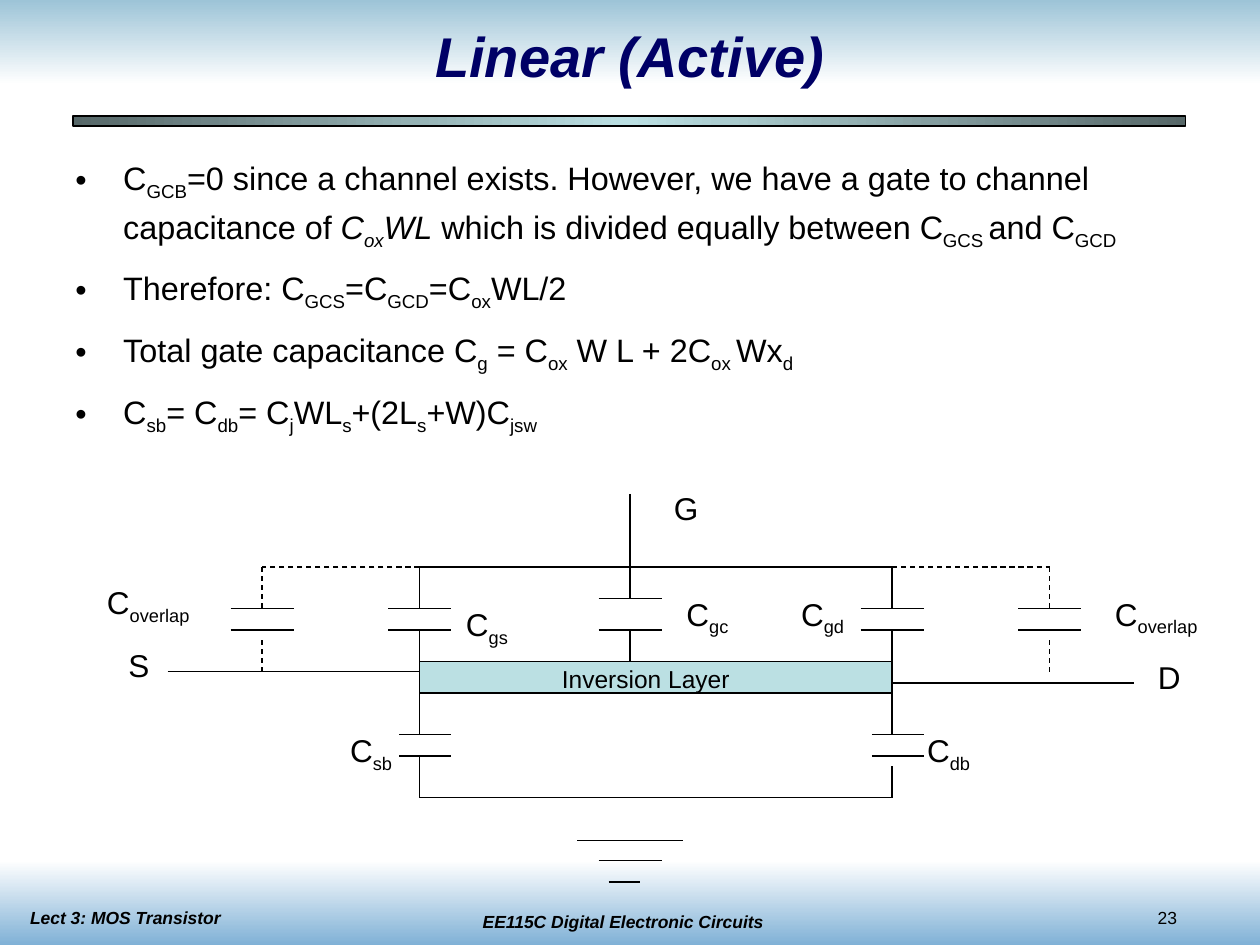
from copy import deepcopy

from lxml import etree
from pptx import Presentation
from pptx.dml.color import RGBColor
from pptx.enum.dml import MSO_LINE
from pptx.enum.shapes import MSO_CONNECTOR, MSO_SHAPE
from pptx.enum.text import MSO_ANCHOR, PP_ALIGN
from pptx.oxml.ns import qn
from pptx.util import Inches, Pt

STRAIGHT = MSO_CONNECTOR.STRAIGHT
RECTANGLE = MSO_SHAPE.RECTANGLE
DASH = MSO_LINE.DASH
MIDDLE = MSO_ANCHOR.MIDDLE
LEFT, CENTER = PP_ALIGN.LEFT, PP_ALIGN.CENTER

BLACK, NAVY, TEAL, SLATE, WHITE = "000000", "000066", "BBE0E3", "566768", "FFFFFF"

BULLETS = [
    "C|_GCB|=0 since a channel exists. However, we have a gate to channel "
    "capacitance of |~C|~_ox|~WL| which is divided equally between C|_GCS |and C|_GCD",
    "Therefore: C|_GCS|=C|_GCD|=C|_ox|WL/2",
    "Total gate capacitance C|_g| = C|_ox| W L + 2C|_ox |Wx|_d",
    "C|_sb|= C|_db|= C|_j|WL|_s|+(2L|_s|+W)C|_jsw",
]


def color(hex_string):
    return RGBColor.from_string(hex_string)


class SlideBuilder:
    font = "Arial"

    def __init__(self, deck):
        self.page = deck.slides.add_slide(deck.slide_layouts[5])
        self.shapes = self.page.shapes

    def style(self, span, size, fill=BLACK, bold=False, italic=False):
        span.font.name = self.font
        span.font.size = Pt(size)
        span.font.bold = bold
        span.font.italic = italic
        span.font.color.rgb = color(fill)

    def spans(self, para, markup, size, bold=False, italic=False):
        """Fill a paragraph; "|" parts spans, a leading "~" is italic, "_" subscript."""
        for piece in markup.split("|"):
            slanted = piece.startswith("~")
            piece = piece.removeprefix("~")
            span = para.add_run()
            span.text = piece.removeprefix("_")
            self.style(span, size, bold=bold, italic=italic or slanted)
            if piece.startswith("_"):
                span.font._element.set("baseline", "-25000")

    def title(self, text, left, top, width, height):
        box = self.shapes.title
        box.left, box.top, box.width, box.height = map(Inches, (left, top, width, height))
        self.shapes._spTree.append(box._element)  # in front of the top band
        frame = box.text_frame
        frame.text = text
        frame.vertical_anchor = MIDDLE
        frame.paragraphs[0].alignment = CENTER
        self.style(frame.paragraphs[0].runs[0], 32, NAVY, bold=True, italic=True)

    def text(self, markup, left, top, width, height, size=18, align=LEFT, strong=False):
        box = self.shapes.add_textbox(*map(Inches, (left, top, width, height)))
        box.text_frame.word_wrap = True
        para = box.text_frame.paragraphs[0]
        para.alignment = align
        self.spans(para, markup, size, bold=strong, italic=strong)

    def bullets(self, items, left, top, width, height, size):
        box = self.shapes.add_textbox(*map(Inches, (left, top, width, height)))
        frame = box.text_frame
        frame.word_wrap = True
        for index, item in enumerate(items):
            para = frame.add_paragraph() if index else frame.paragraphs[0]
            para.line_spacing = 1.1
            para.space_before = Pt(7.5 if index else 0)
            properties = para._p.get_or_add_pPr()
            properties.set("marL", str(Inches(0.38)))
            properties.set("indent", str(-Inches(0.38)))
            etree.SubElement(properties, qn("a:buFont")).set("typeface", self.font)
            etree.SubElement(properties, qn("a:buChar")).set("char", "•")
            self.spans(para, item, size)

    def rectangle(self, left, top, width, height, fills, line=None, angle=0):
        """Draw a rectangle: one fill is solid, several are an even gradient."""
        shape = self.shapes.add_shape(RECTANGLE, *map(Inches, (left, top, width, height)))
        shape.shadow.inherit = False
        if len(fills) == 1:
            shape.fill.solid()
            shape.fill.fore_color.rgb = color(fills[0])
        else:
            shape.fill.gradient()
            shape.fill.gradient_angle = angle
            stop_list = shape._element.spPr.find(".//" + qn("a:gsLst"))
            for _ in fills[2:]:
                stop_list.append(deepcopy(stop_list[0]))
            for index, stop in enumerate(shape.fill.gradient_stops):
                stop.position = index / (len(fills) - 1)
                stop.color.rgb = color(fills[index])
        if line:
            shape.line.color.rgb = color(BLACK)
            shape.line.width = Pt(line)
        else:
            shape.line.fill.background()

    def line(self, x1, y1, x2, y2, dashed=False):
        wire = self.shapes.add_connector(STRAIGHT, *map(Inches, (x1, y1, x2, y2)))
        wire.line.color.rgb = color(BLACK)
        wire.line.width = Pt(0.75)
        if dashed:
            wire.line.dash_style = DASH
        etree.SubElement(wire._element.spPr, qn("a:effectLst"))

    def plates(self, x, top, bottom, left_reach=0.25):
        for y in (top, bottom):
            self.line(x - left_reach, y, x + 0.25, y)


def draw_circuit(slide):
    source, gate, drain = 3.33, 5, 7.08
    bus, upper, lower, ground = 4.5, 4.83, 5, 6.33

    # Gate and junction capacitors; the drain lead starts below a gap
    for x, lead_top in ((source, 6), (drain, 6.08)):
        slide.line(x, bus, x, upper)
        slide.plates(x, upper, lower)
        slide.line(x, lower, x, 5.83)
        slide.plates(x, 5.83, 6, left_reach=0.16)
        slide.line(x, lead_top, x, ground)
    for y in (bus, ground):
        slide.line(source, y, drain, y)

    # Channel capacitor
    slide.line(gate, 3.92, gate, 4.75)
    slide.plates(gate, 4.75, lower)
    slide.line(gate, lower, gate, 5.33)

    # Overlap capacitors
    for x, corner in ((2.08, source), (8.33, drain)):
        slide.line(corner, bus, x, bus, dashed=True)
        slide.line(x, bus, x, upper, dashed=True)
        slide.plates(x, upper, lower)
        slide.line(x, 5.08, x, 5.33, dashed=True)

    # Terminals and ground symbol
    slide.line(1.33, 5.33, source, 5.33)
    slide.line(drain, 5.42, 9, 5.42)
    for left, right, y in ((4.58, 5.42, 6.67), (4.75, 5.25, 6.83), (4.83, 5.08, 7)):
        slide.line(left, y, right, y)

    slide.rectangle(source, 5.25, drain - source, 0.25, [TEAL], line=1)
    slide.text("Inversion Layer", 4.33, 5.22, 1.59, 0.34, size=14, align=CENTER)

    for terminal, left, top in (("S", 0.92, 5.08), ("D", 9.09, 5.17), ("G", 5.25, 3.83)):
        slide.text(terminal, left, top, 0.42, 0.4)
    capacitors = [
        ("gd", 6.26, 4.67), ("db", 7.26, 5.75), ("gc", 5.35, 4.67),
        ("sb", 2.68, 5.75), ("gs", 3.6, 4.75),
    ]
    for subscript, left, top in capacitors:
        slide.text(f"C|_{subscript}", left, top, 0.6, 0.44)
    for left, top in ((8.75, 4.67), (0.75, 4.58)):
        slide.text("C|_overlap", left, top, 1.08, 0.44)


def main():
    deck = Presentation()
    deck.slide_width, deck.slide_height = Inches(10), Inches(7.5)
    slide = SlideBuilder(deck)

    slide.rectangle(0, 0, 10, 0.67, ["9DC4D7", WHITE], angle=270)
    slide.rectangle(0, 6.83, 10, 0.67, [WHITE, "80B1D6"], angle=270)
    slide.rectangle(0.58, 0.92, 8.83, 0.08, [SLATE, TEAL, SLATE], line=0.75)
    slide.text("EE115C Digital Electronic Circuits", 3.53, 7.18, 2.83, 0.27,
               size=10, align=CENTER, strong=True)
    slide.text("23", 9.09, 7.15, 0.83, 0.27, size=10)
    slide.text("Lect 3: MOS Transistor", 0.14, 7.15, 2.83, 0.27, size=10, strong=True)

    slide.title("Linear (Active)", 0.75, 0.17, 8.5, 0.53)
    slide.bullets(BULLETS, 0.5, 1.17, 9.33, 2.42, size=18.5)
    draw_circuit(slide)
    deck.save("out.pptx")


if __name__ == "__main__":
    main()
